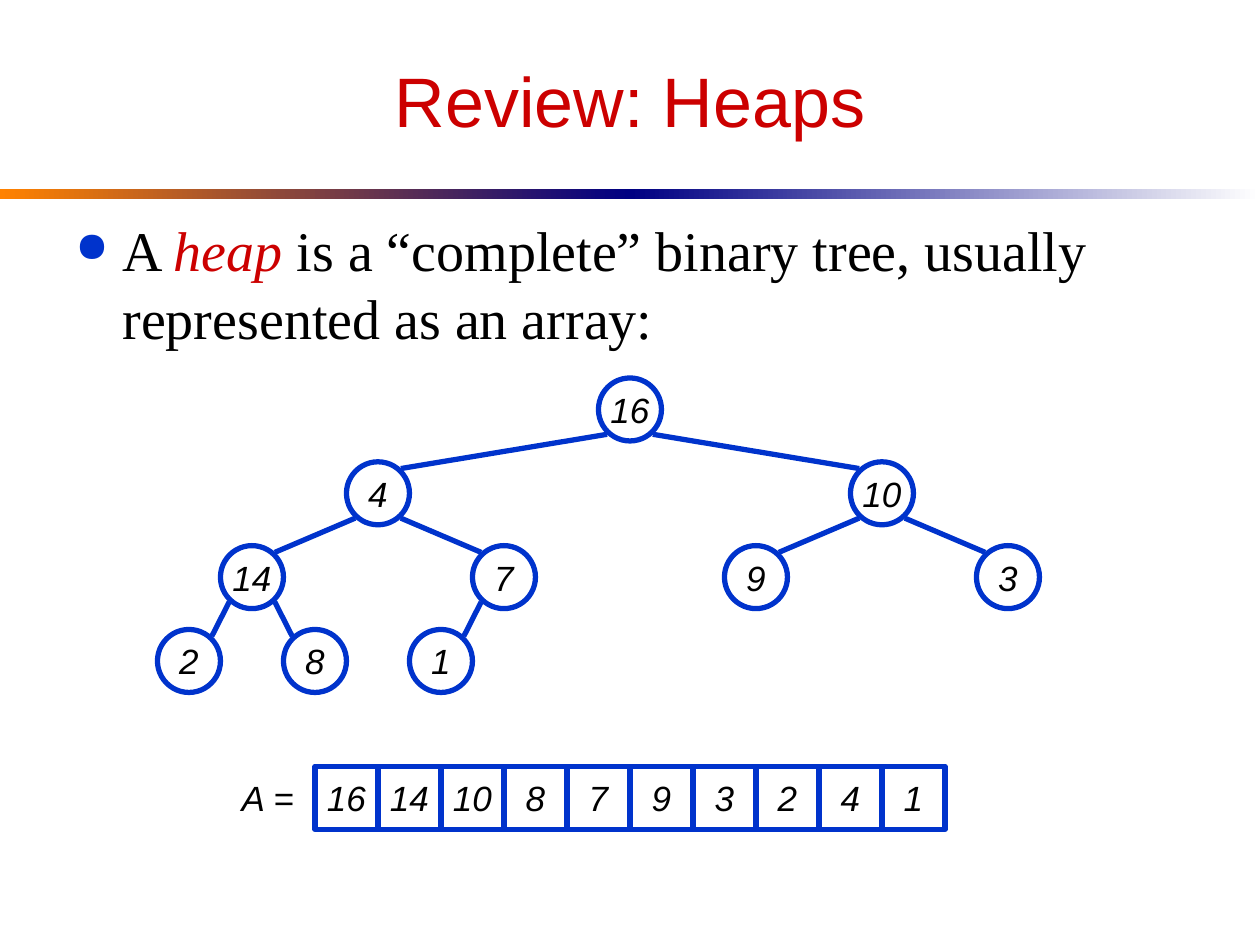
from lxml import etree
from pptx import Presentation
from pptx.dml.color import RGBColor
from pptx.enum.shapes import MSO_CONNECTOR, MSO_SHAPE
from pptx.enum.text import MSO_ANCHOR, PP_ALIGN
from pptx.oxml.ns import qn
from pptx.util import Cm, Pt

STRAIGHT = MSO_CONNECTOR.STRAIGHT
OVAL, RECTANGLE = MSO_SHAPE.OVAL, MSO_SHAPE.RECTANGLE
MIDDLE, CENTER = MSO_ANCHOR.MIDDLE, PP_ALIGN.CENTER

TITLE = "Review: Heaps"
DEFINITION = [
    ("A ", False),
    ("heap", True),
    (" is a “complete” binary tree, usually represented as an array:", False),
]
TREE = [16, 4, 10, 14, 7, 9, 3, 2, 8, 1]
ARRAY_LABEL = "A ="
ARRAY = [16, 14, 10, 8, 7, 9, 3, 2, 4, 1]
RULE_GRADIENTS = [("FF8200", "000082"), ("000082", "FFFFFF")]

RED, BLUE, BLACK, WHITE = "CC0000", "0033CC", "000000", "FFFFFF"
SANS, SERIF = "Arial", "Times New Roman"

SLIDE_WIDTH, SLIDE_HEIGHT = 25.4, 19.05
CELL = 1.27
TREE_LEFT, TREE_WIDTH, TREE_TOP, LEVEL_STEP = 2.54, 20.32, 7.62, 1.69
EDGE_X, EDGE_Y = 0.46, 0.5
ARRAY_LEFT, ARRAY_TOP, LABEL_WIDTH = 6.35, 15.45, 1.9


def color(value):
    return RGBColor.from_string(value)


def style_font(font, name, size, value, italic=False):
    font.name, font.size, font.italic = name, Pt(size), italic
    font.color.rgb = color(value)


def write_label(shape, text):
    frame = shape.text_frame
    frame.word_wrap = False
    frame.vertical_anchor = MIDDLE
    paragraph = frame.paragraphs[0]
    paragraph.text = str(text)
    paragraph.alignment = CENTER
    style_font(paragraph.font, SANS, 20, BLACK, italic=True)


def add_cell(shapes, kind, left, top, text):
    shape = shapes.add_shape(kind, Cm(left), Cm(top), Cm(CELL), Cm(CELL))
    shape.shadow.inherit = False
    shape.fill.solid()
    shape.fill.fore_color.rgb = color(WHITE)
    shape.line.color.rgb = color(BLUE)
    shape.line.width = Pt(3)
    write_label(shape, text)


def add_rule(slide):
    width = SLIDE_WIDTH / len(RULE_GRADIENTS)
    for index, stops in enumerate(RULE_GRADIENTS):
        bar = slide.shapes.add_shape(RECTANGLE, Cm(index * width), Cm(3.81), Cm(width), Cm(0.2))
        bar.shadow.inherit = False
        bar.line.fill.background()
        bar.fill.gradient()
        bar.fill.gradient_angle = 0
        for stop, value in zip(bar.fill.gradient_stops, stops):
            stop.color.rgb = color(value)


def add_title(slide):
    title = slide.shapes.title
    title.left, title.top, title.width, title.height = Cm(1.27), Cm(0.64), Cm(22.86), Cm(2.75)
    title.text_frame.vertical_anchor = MIDDLE
    paragraph = title.text_frame.paragraphs[0]
    paragraph.text = TITLE
    paragraph.alignment = CENTER
    style_font(paragraph.font, SANS, 40, RED)


def add_bullet(paragraph):
    properties = paragraph._p.get_or_add_pPr()
    properties.set("marL", str(Cm(0.95)))
    properties.set("indent", str(-Cm(0.95)))
    bullet_color = etree.SubElement(properties, qn("a:buClr"))
    etree.SubElement(bullet_color, qn("a:srgbClr"), val=BLUE)
    etree.SubElement(properties, qn("a:buSzPct"), val="75000")
    etree.SubElement(properties, qn("a:buChar"), char="●")


def add_definition(slide):
    box = slide.shapes.add_textbox(Cm(1.27), Cm(4.23), Cm(22.86), Cm(3))
    box.text_frame.word_wrap = True
    paragraph = box.text_frame.paragraphs[0]
    paragraph.space_before = Pt(8)
    add_bullet(paragraph)
    for text, is_term in DEFINITION:
        run = paragraph.add_run()
        run.text = text
        style_font(run.font, SERIF, 32, RED if is_term else BLACK, is_term)


def node_center(index):
    level = (index + 1).bit_length() - 1
    slots = 2 ** level
    position = index + 1 - slots
    x = TREE_LEFT + TREE_WIDTH * (position + 0.5) / slots
    return x, TREE_TOP + CELL / 2 + level * LEVEL_STEP


def add_tree(slide):
    for index, value in enumerate(TREE):
        x, y = node_center(index)
        add_cell(slide.shapes, OVAL, x - CELL / 2, y - CELL / 2, value)
    for index in range(1, len(TREE)):
        parent_x, parent_y = node_center((index - 1) // 2)
        child_x, child_y = node_center(index)
        shift = EDGE_X if child_x > parent_x else -EDGE_X
        edge = slide.shapes.add_connector(
            STRAIGHT,
            Cm(parent_x + shift), Cm(parent_y + EDGE_Y),
            Cm(child_x - shift), Cm(child_y - EDGE_Y),
        )
        edge.line.color.rgb = color(BLUE)
        edge.line.width = Pt(3)
        etree.SubElement(edge._element.spPr, qn("a:effectLst"))


def add_array(slide):
    group = slide.shapes.add_group_shape()
    for index, value in enumerate(ARRAY):
        add_cell(group.shapes, RECTANGLE, ARRAY_LEFT + index * CELL, ARRAY_TOP, value)
    label = group.shapes.add_textbox(
        Cm(ARRAY_LEFT - LABEL_WIDTH), Cm(ARRAY_TOP), Cm(LABEL_WIDTH), Cm(CELL)
    )
    write_label(label, ARRAY_LABEL)


def main():
    presentation = Presentation()
    presentation.slide_width, presentation.slide_height = Cm(SLIDE_WIDTH), Cm(SLIDE_HEIGHT)
    slide = presentation.slides.add_slide(presentation.slide_layouts[5])
    add_rule(slide)
    add_title(slide)
    add_definition(slide)
    add_tree(slide)
    add_array(slide)
    presentation.save("out.pptx")


if __name__ == "__main__":
    main()
